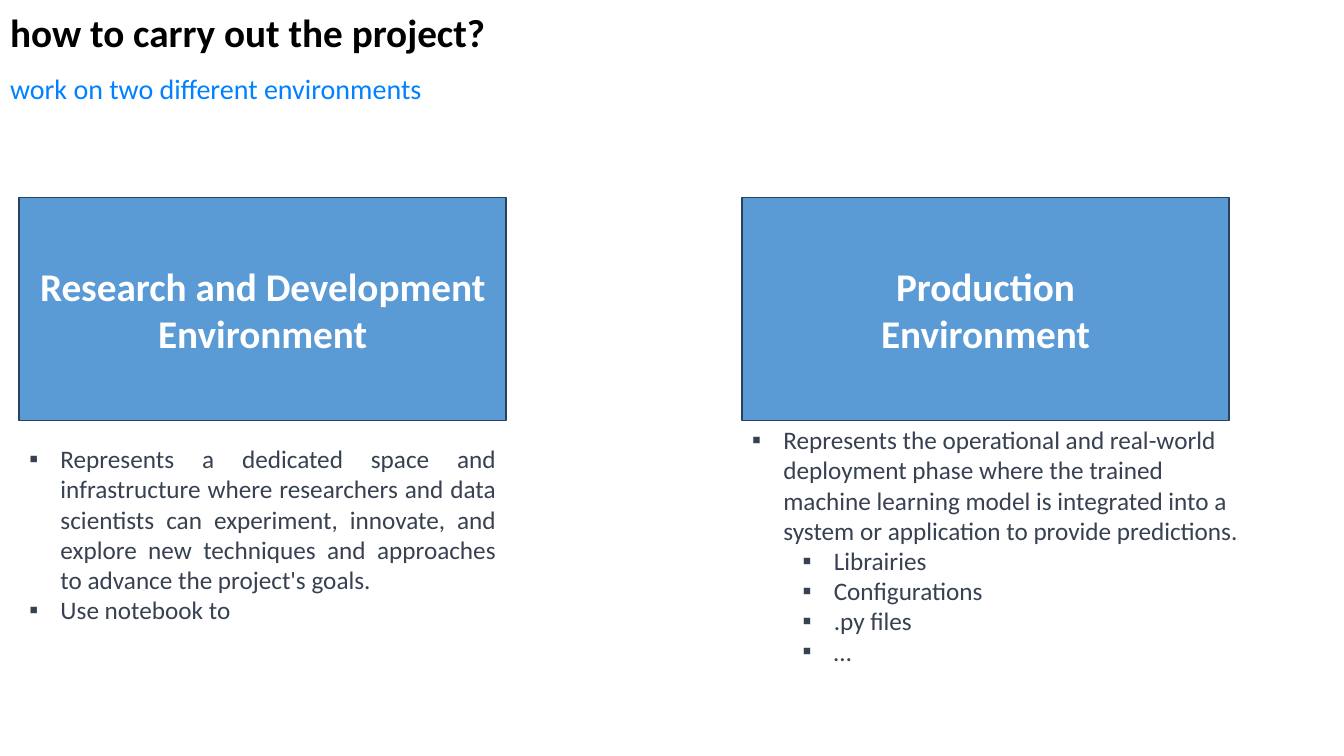
from dataclasses import dataclass

from lxml import etree
from pptx import Presentation
from pptx.dml.color import RGBColor
from pptx.enum.shapes import MSO_SHAPE
from pptx.enum.text import MSO_ANCHOR, MSO_AUTO_SIZE, PP_ALIGN
from pptx.oxml.ns import qn
from pptx.util import Inches, Pt

RECT = MSO_SHAPE.RECTANGLE
TOP, MIDDLE = MSO_ANCHOR.TOP, MSO_ANCHOR.MIDDLE
LEFT, CENTER, JUSTIFY = PP_ALIGN.LEFT, PP_ALIGN.CENTER, PP_ALIGN.JUSTIFY
NO_FIT = MSO_AUTO_SIZE.NONE
TWO_CONTENT = 3


@dataclass(frozen=True)
class Theme:
    """Colours, font and type sizes of the slide."""
    font: str = "Calibri"
    title: RGBColor = RGBColor(0x00, 0x00, 0x00)
    subtitle: RGBColor = RGBColor(0x01, 0x80, 0xFF)
    body: RGBColor = RGBColor(0x37, 0x41, 0x51)
    box_text: RGBColor = RGBColor(0xFF, 0xFF, 0xFF)
    box_fill: RGBColor = RGBColor(0x5B, 0x9B, 0xD5)
    box_line: RGBColor = RGBColor(0x28, 0x44, 0x5D)
    title_size: Pt = Pt(28)
    subtitle_size: Pt = Pt(20)
    body_size: Pt = Pt(18)


THEME = Theme()

RESEARCH = [
    (0, "Represents a dedicated space and infrastructure where researchers and "
        "data scientists can experiment, innovate, and explore new techniques "
        "and approaches to advance the project's goals."),
    (0, "Use notebook to"),
]
PRODUCTION = [
    (0, "Represents the operational and real-world deployment phase where the "
        "trained machine learning model is integrated into a system or "
        "application to provide predictions."),
    (1, "Librairies"),
    (1, "Configurations"),
    (1, ".py files"),
    (1, "…"),
]


def apply(obj, values):
    """Set the attributes of an object from a dict."""
    for name, value in values.items():
        setattr(obj, name, value)


def place(sp, left, top, width, height):
    """Move and size a shape, in inches."""
    apply(sp, {"left": Inches(left), "top": Inches(top),
               "width": Inches(width), "height": Inches(height)})


def write(p, text, size, color, bold=False, align=LEFT, after=0):
    """Fill a paragraph with one formatted text."""
    apply(p, {"text": text, "alignment": align, "line_spacing": 1.0,
              "space_before": Pt(0), "space_after": Pt(after)})
    for r in p.runs:
        apply(r.font, {"name": THEME.font, "size": size, "bold": bold})
        r.font.color.rgb = color


def add_bullet(p, level):
    """Give a paragraph a square bullet with a hanging indent."""
    p.level = level
    pPr = p._p.get_or_add_pPr()
    pPr.set("marL", str(Inches(0.31 + 0.5 * level)))
    pPr.set("indent", str(Inches(-0.31)))
    etree.SubElement(pPr, qn("a:buFont")).set("typeface", THEME.font)
    etree.SubElement(pPr, qn("a:buChar")).set("char", "▪")


def paragraphs(tf, count):
    """Return the given number of paragraphs of a text frame."""
    return [tf.paragraphs[0]] + [tf.add_paragraph() for _ in range(count - 1)]


def fill_title(sp, title, subtitle):
    """Write the heading and the line below it."""
    place(sp, 0, 0.03, 13.33, 1.08)
    tf = sp.text_frame
    apply(tf, {"word_wrap": True, "auto_size": NO_FIT, "vertical_anchor": TOP})
    head, sub = paragraphs(tf, 2)
    write(head, title, THEME.title_size, THEME.title, bold=True, after=12)
    write(sub, subtitle, THEME.subtitle_size, THEME.subtitle, after=12)


def add_box(slide, left, text):
    """Add the box that names an environment."""
    sp = slide.shapes.add_shape(RECT, Inches(left), Inches(1.96),
                                Inches(4.83), Inches(2.21))
    sp.shadow.inherit = False
    sp.fill.solid()
    sp.fill.fore_color.rgb = THEME.box_fill
    sp.line.color.rgb = THEME.box_line
    sp.line.width = Pt(1)
    tf = sp.text_frame
    apply(tf, {"word_wrap": True, "vertical_anchor": MIDDLE})
    write(tf.paragraphs[0], text, THEME.title_size, THEME.box_text,
          bold=True, align=CENTER)


def fill_list(sp, bounds, items, align):
    """Write a bulleted list into a body placeholder."""
    place(sp, *bounds)
    tf = sp.text_frame
    apply(tf, {"word_wrap": True, "auto_size": NO_FIT, "vertical_anchor": TOP})
    for p, (level, text) in zip(paragraphs(tf, len(items)), items):
        add_bullet(p, level)
        write(p, text, THEME.body_size, THEME.body, align=align)


def main():
    """Build the slide and save it."""
    prs = Presentation()
    apply(prs, {"slide_width": Inches(13.33), "slide_height": Inches(7.5)})
    slide = prs.slides.add_slide(prs.slide_layouts[TWO_CONTENT])
    title, research, production = list(slide.placeholders)[:3]
    fill_title(title, "how to carry out the project?",
               "work on two different environments")
    add_box(slide, 0.19, "Research and Development Environment")
    add_box(slide, 7.36, "Production\vEnvironment")
    fill_list(research, (0.19, 4.35, 4.83, 1.92), RESEARCH, JUSTIFY)
    fill_list(production, (7.36, 4.16, 5.14, 2.52), PRODUCTION, LEFT)
    prs.save("out.pptx")


if __name__ == "__main__":
    main()
